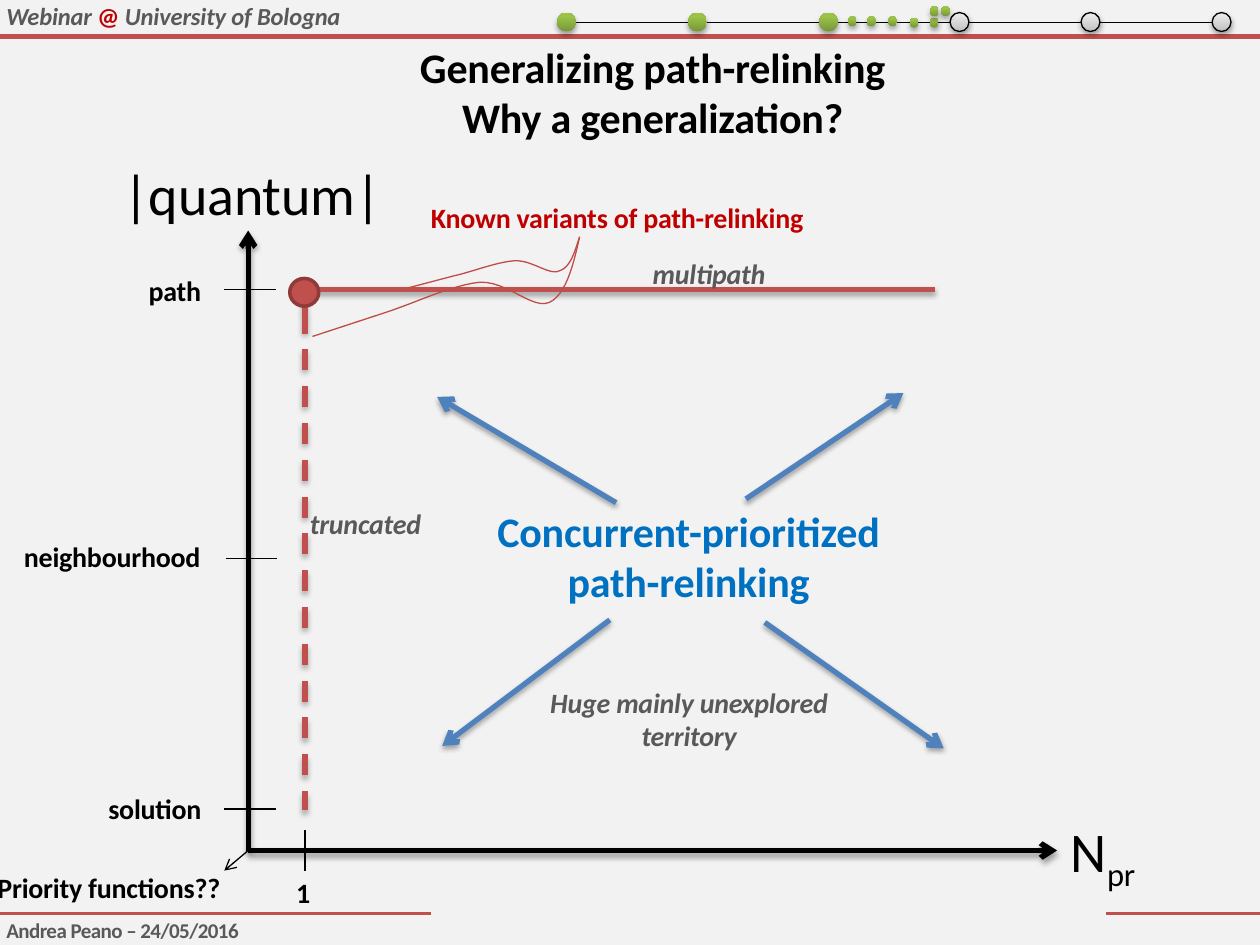
import pptx
import pptx.util
import pptx.dml.color
import pptx.enum.dml
import pptx.enum.shapes
import pptx.enum.text
import pptx.oxml
import pptx.oxml.ns
from lxml import etree

Inches, Pt = pptx.util.Inches, pptx.util.Pt
RGBColor = pptx.dml.color.RGBColor
MSO_SHAPE = pptx.enum.shapes.MSO_SHAPE
PP_ALIGN = pptx.enum.text.PP_ALIGN
NS = pptx.oxml.ns.nsdecls("a")

BACKGROUND = RGBColor(0xF2, 0xF2, 0xF2)
BLACK = RGBColor(0, 0, 0)
GRAY = RGBColor(0x59, 0x59, 0x59)
RED = RGBColor(0xC0, 0x50, 0x4D)
CURVE_RED = RGBColor(0xBF, 0x4C, 0x48)
EDGE_RED = RGBColor(0x8E, 0x3B, 0x39)
DARK_RED = RGBColor(0xC0, 0, 0)
BLUE = RGBColor(0x4F, 0x81, 0xBD)
TEXT_BLUE = RGBColor(0, 0x70, 0xC0)

# Gradient stops as (position in percent, colour)
GREEN_STOPS = [(0, RGBColor(0x77, 0x97, 0x37)), (80, RGBColor(0x9B, 0xC3, 0x48)),
               (100, RGBColor(0x9D, 0xC7, 0x46))]
GRAY_STOPS = [(0, RGBColor(0xBD, 0xBD, 0xBD)), (35, RGBColor(0xD1, 0xD1, 0xD1)),
              (100, RGBColor(0xEE, 0xEE, 0xEE))]


def set_effects(s, shadow):
    """Give a shape a soft shadow below it, or no effect at all."""
    inner = ('<a:outerShdw blurRad="39370" dist="22860" dir="5400000" rotWithShape="0">'
             '<a:srgbClr val="000000"><a:alpha val="35000"/></a:srgbClr></a:outerShdw>')
    s._element.spPr.append(pptx.oxml.parse_xml(
        f'<a:effectLst {NS}>{inner if shadow else ""}</a:effectLst>'))


def add_line(slide, start, end, color=BLACK, width=0.75, arrow=False, dash=False, shadow=False):
    s = slide.shapes.add_connector(
        pptx.enum.shapes.MSO_CONNECTOR.STRAIGHT, *(Inches(v) for v in (*start, *end)))
    s.line.color.rgb = color
    s.line.width = Pt(width)
    if dash:
        s.line.dash_style = pptx.enum.dml.MSO_LINE.DASH
    if arrow:
        tail = etree.SubElement(s.line._get_or_add_ln(), pptx.oxml.ns.qn("a:tailEnd"))
        tail.set("type", "arrow")
    set_effects(s, shadow)


def add_text(slide, box, paragraphs, size=16, color=BLACK, bold=True, italic=False,
             align=PP_ALIGN.LEFT, wrap=False, inset=(0, 0), spacing=-10):
    """Each paragraph is a list of (text, colour or None) runs."""
    s = slide.shapes.add_textbox(*(Inches(v) for v in box))
    tf = s.text_frame
    tf.word_wrap = wrap
    tf.auto_size = pptx.enum.text.MSO_AUTO_SIZE.SHAPE_TO_FIT_TEXT
    tf.margin_left = tf.margin_right = Inches(inset[0])
    tf.margin_top = tf.margin_bottom = Inches(inset[1])
    for i, runs in enumerate(paragraphs):
        p = tf.add_paragraph() if i else tf.paragraphs[0]
        p.alignment = align
        p.font.name, p.font.size = "Calibri", Pt(size)
        p.font.bold, p.font.italic = bold, italic
        p.font.color.rgb = color
        for text, run_color in runs:
            r = p.add_run()
            r.text = text
            r.font._element.set("spc", str(spacing))
            if run_color is not None:
                r.font.color.rgb = run_color
    return tf


def add_label(slide, box, *lines, **style):
    return add_text(slide, box, [[(line, None)] for line in lines], **style)


def add_dot(slide, left, top, width, height, stops, outlined=False):
    s = slide.shapes.add_shape(
        MSO_SHAPE.OVAL, *(Inches(v) for v in (left, top, width, height)))
    gs = "".join(f'<a:gs pos="{pos * 1000}"><a:srgbClr val="{c}"/></a:gs>' for pos, c in stops)
    s._element.spPr.append(pptx.oxml.parse_xml(
        f'<a:gradFill {NS} rotWithShape="1"><a:gsLst>{gs}</a:gsLst>'
        '<a:lin ang="16200000" scaled="0"/></a:gradFill>'))
    if outlined:
        s.line.color.rgb = BLACK
        s.line.width = Pt(0.75)
    else:
        s.line.fill.background()
    set_effects(s, True)


def add_curve(slide, start, first, segments, steps=12):
    """A straight piece from start to first, then cubic Bezier segments."""
    points = [first]
    for c1, c2, end in segments:
        p0 = points[-1]
        for k in range(1, steps + 1):
            t = k / steps
            weights = ((1 - t) ** 3, 3 * t * (1 - t) ** 2, 3 * t * t * (1 - t), t ** 3)
            points.append(tuple(sum(w * p[axis] for w, p in zip(weights, (p0, c1, c2, end)))
                                for axis in (0, 1)))
    builder = slide.shapes.build_freeform(Inches(start[0]), Inches(start[1]))
    builder.add_line_segments([(Inches(x), Inches(y)) for x, y in points], close=False)
    s = builder.convert_to_shape()
    s.fill.background()
    s.line.color.rgb = CURVE_RED
    s.line.width = Pt(0.75)
    s.shadow.inherit = False


def add_frame(slide):
    add_line(slide, (3.42, 7.25), (0, 7.25), RED, 2.25)
    add_line(slide, (10, 7.25), (8.78, 7.25), RED, 2.25)
    add_line(slide, (10, 0.29), (0, 0.29), RED, 3)
    tf = add_text(slide, (0.05, 0.01, 4.42, 0.24),
                  [[("Webinar ", None), ("@ ", DARK_RED), ("University of Bologna", None)]],
                  size=14, color=GRAY, italic=True, wrap=True)
    tf.paragraphs[0].runs[1].font.italic = False
    add_label(slide, (0.05, 7.28, 1.87, 0.2), "Andrea Peano – 24/05/2016",
              size=12, color=GRAY, spacing=-30)
    add_label(slide, (0.86, 0.33, 8.64, 0.81), "Generalizing path-relinking",
              "Why a generalization?", size=24, align=PP_ALIGN.CENTER, wrap=True)


def add_axes(slide):
    origin = (1.97, 6.75)
    for end in ((8.39, 6.75), (1.97, 1.83)):
        add_line(slide, origin, end, width=3, arrow=True, shadow=True)
    tf = add_text(slide, (8.4, 6.43, 0.75, 0.64), [[("N", None), ("pr", None)]],
                  size=32, bold=False, inset=(0.1, 0.05))
    tf.paragraphs[0].runs[1].font._element.set("baseline", "-25000")
    add_label(slide, (0.88, 1.22, 2.27, 0.64), "|quantum|",
              size=32, bold=False, inset=(0.1, 0.05))

    # Ticks and their labels
    add_line(slide, (2.42, 6.59), (2.42, 6.91))
    add_label(slide, (2.35, 6.95, 0.13, 0.27), "1")
    for text, x, y, box in (("solution", 1.78, 6.42, (0.86, 6.28, 0.76, 0.27)),
                            ("path", 1.78, 2.3, (1.18, 2.17, 0.43, 0.27)),
                            ("neighbourhood", 1.79, 4.43, (0.19, 4.28, 1.43, 0.27))):
        add_line(slide, (x, y), (x + 0.41, y))
        add_label(slide, box, text)

    # Third axis
    add_line(slide, origin, (1.78, 6.91), arrow=True)
    add_label(slide, (-0.02, 6.91, 1.8, 0.27), "Priority functions??")


def add_variants(slide):
    add_line(slide, (2.42, 2.48), (2.42, 2.3), RED, 3, shadow=True)
    add_line(slide, (2.42, 2.3), (7.42, 2.3), RED, 3, shadow=True)
    add_label(slide, (3.42, 1.59, 3.04, 0.27), "Known variants of path-relinking", color=DARK_RED)
    add_curve(slide, (3.22, 2.29), (3.6, 2.19),
              [((3.74, 2.16), (3.94, 2.08), (4.08, 2.07)),
               ((4.22, 2.06), (4.36, 2.19), (4.44, 2.15)),
               ((4.53, 2.12), (4.56, 2), (4.6, 1.88))])
    add_line(slide, (2.42, 2.48), (2.42, 6.43), RED, 3, dash=True, shadow=True)
    s = slide.shapes.add_shape(MSO_SHAPE.FLOWCHART_CONNECTOR,
                               Inches(2.3), Inches(2.21), Inches(0.23), Inches(0.22))
    s.shadow.inherit = False
    s.fill.solid()
    s.fill.fore_color.rgb = RED
    s.line.color.rgb = EDGE_RED
    s.line.width = Pt(2)
    add_curve(slide, (2.48, 2.67), (3.06, 2.48),
              [((3.28, 2.41), (3.59, 2.26), (3.81, 2.24)),
               ((4.02, 2.23), (4.23, 2.46), (4.36, 2.4)),
               ((4.49, 2.34), (4.55, 2.11), (4.6, 1.88))])


def add_territory(slide):
    for start, end in (((5.92, 3.96), (7.17, 3.12)), ((4.89, 3.99), (3.47, 3.15)),
                       ((6.07, 4.94), (7.49, 5.94)), ((4.84, 4.92), (3.51, 5.92))):
        add_line(slide, start, end, BLUE, 3, arrow=True, shadow=True)
    add_label(slide, (3.93, 4.01, 3.07, 0.81), "Concurrent-prioritized", "path-relinking",
              size=24, color=TEXT_BLUE, align=PP_ALIGN.CENTER)
    note = {"color": GRAY, "italic": True}
    add_label(slide, (5.18, 2.04, 0.92, 0.27), "multipath", **note)
    add_label(slide, (2.46, 4.02, 0.9, 0.27), "truncated", **note)
    add_label(slide, (4.35, 5.44, 2.24, 0.54), "Huge mainly unexplored", "territory",
              align=PP_ALIGN.CENTER, **note)


def add_progress(slide):
    first, pitch, size, count, done = 4.42, 1.04, 0.15, 6, 3
    for i in range(count):
        x = first + i * pitch
        add_dot(slide, x, 0.1, size, size, GREEN_STOPS if i < done else GRAY_STOPS, i >= done)
        if i < count - 1:
            add_line(slide, (x + size, 0.18), (x + pitch, 0.18))
    # Small steps of the current section
    for x, y in ((6.73, 0.13), (6.88, 0.13), (7.05, 0.13), (7.22, 0.14),
                 (7.38, 0.14), (7.38, 0.05), (7.47, 0.05)):
        add_dot(slide, x, y, 0.07, 0.08, GREEN_STOPS)


def main():
    prs = pptx.Presentation()
    prs.slide_width, prs.slide_height = Inches(10), Inches(7.5)
    slide = prs.slides.add_slide(prs.slide_layouts[6])
    slide.background.fill.solid()
    slide.background.fill.fore_color.rgb = BACKGROUND
    add_frame(slide)
    add_axes(slide)
    add_variants(slide)
    add_territory(slide)
    add_progress(slide)
    prs.save("out.pptx")


if __name__ == "__main__":
    main()
